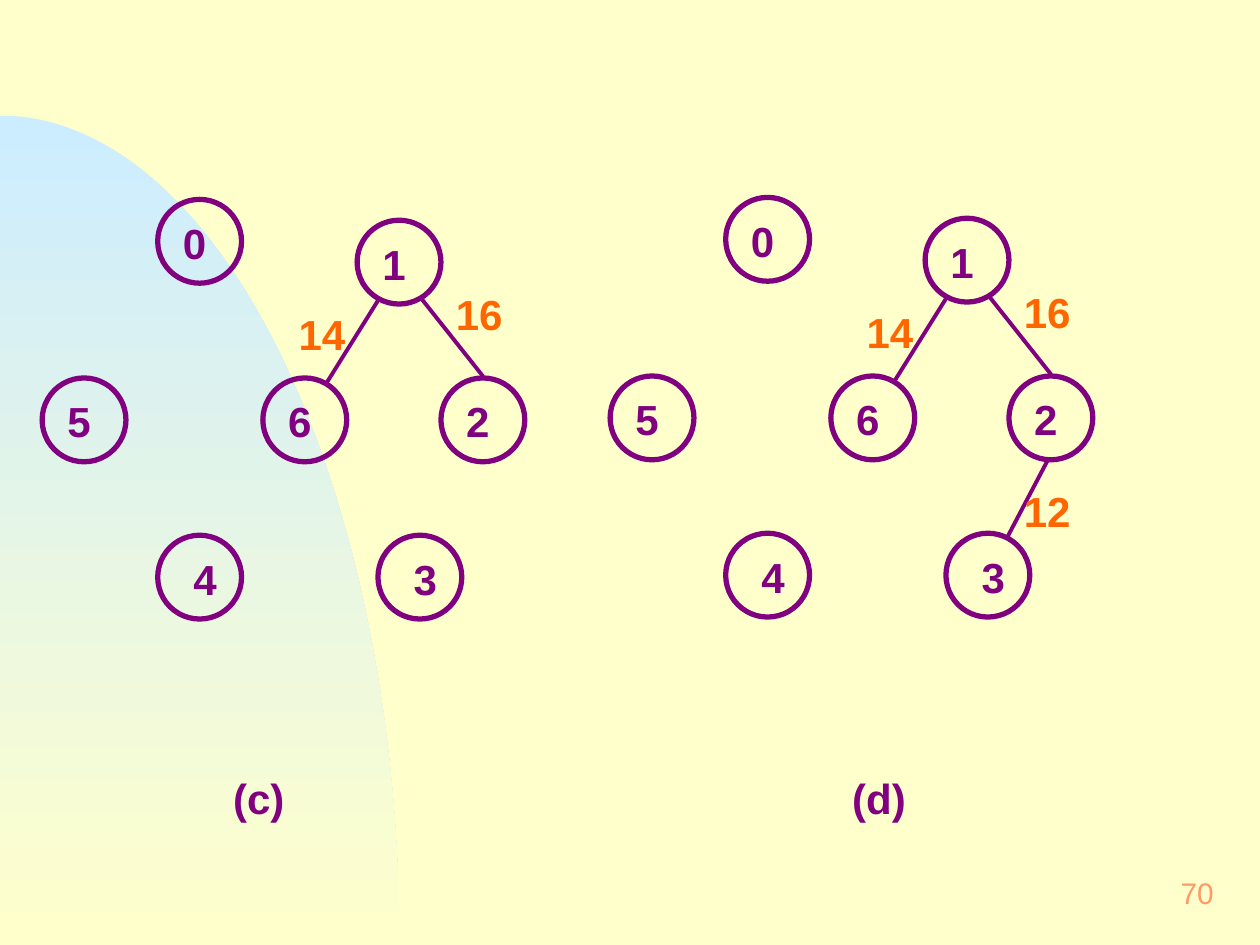
from dataclasses import dataclass
from math import cos, pi, sin

from lxml.etree import SubElement
from pptx import Presentation
from pptx.dml.color import RGBColor
from pptx.enum.shapes import MSO_CONNECTOR, MSO_SHAPE
from pptx.enum.text import MSO_ANCHOR, MSO_AUTO_SIZE, PP_ALIGN
from pptx.oxml.ns import qn
from pptx.util import Cm, Pt


@dataclass(frozen=True)
class Theme:
    font: str = "Arial"
    background: RGBColor = RGBColor(0xFF, 0xFF, 0xCC)
    sky: RGBColor = RGBColor(0xCC, 0xEC, 0xFF)
    ink: RGBColor = RGBColor(0x80, 0x00, 0x80)
    weight: RGBColor = RGBColor(0xFF, 0x66, 0x00)
    number: RGBColor = RGBColor(0xFF, 0x99, 0x66)
    label_size: Pt = Pt(24)
    number_size: Pt = Pt(17)
    node_line: Pt = Pt(3)
    edge_line: Pt = Pt(2.25)


THEME = Theme()
DIAMETER = 1.69
ROW_MIDDLE, ROW_BOTTOM = 3.6, 6.77

# Node: left, top, left offset of its label; all lengths are in centimetres.
NODES = {
    "1": (6.35, 0.42, 0.21),
    "0": (2.33, 0, 0.21),
    "5": (0, ROW_MIDDLE, 0.21),
    "2": (8.04, ROW_MIDDLE, 0.21),
    "6": (4.45, ROW_MIDDLE, 0.21),
    "4": (2.33, ROW_BOTTOM, 0.42),
    "3": (6.77, ROW_BOTTOM, 0.42),
}
# Edge weight: start, end, corner of the weight label.
EDGES = {
    "16": ((7.62, 1.97), (8.89, 3.57), (8.04, 1.64)),
    "14": ((6.77, 2.04), (5.72, 3.72), (4.87, 2.05)),
    "12": ((8.83, 5.28), (7.99, 6.88), (8.04, 5.66)),
}


def add_label(shapes, text, box, color, size=THEME.label_size, bold=True,
              inset=(0.3, 0.15)):
    tb = shapes.add_textbox(*(Cm(v) for v in box))
    tf = tb.text_frame
    tf.word_wrap = True
    tf.auto_size = MSO_AUTO_SIZE.NONE
    tf.margin_left = tf.margin_right = Cm(inset[0])
    tf.margin_top = tf.margin_bottom = Cm(inset[1])
    tf.text = text
    font = tf.paragraphs[0].runs[0].font
    font.name, font.size, font.bold = THEME.font, size, bold
    font.color.rgb = color
    return tf


def add_hill(slide, width, top, bottom, steps=90):
    """Quarter ellipse that rises from the bottom edge to the left edge."""
    angles = [pi / 2 * i / steps for i in range(steps + 1)]
    arc = [(Cm(width * sin(a)), Cm(bottom - (bottom - top) * cos(a)))
           for a in angles]
    builder = slide.shapes.build_freeform(*arc[0])
    builder.add_line_segments(arc[1:] + [(0, Cm(bottom))], close=True)
    sp = builder.convert_to_shape()
    sp.shadow.inherit = False
    sp.line.fill.background()
    sp.fill.gradient()
    sp.fill.gradient_angle = 270
    stops = zip(sp.fill.gradient_stops, (THEME.sky, THEME.background))
    for i, (stop, color) in enumerate(stops):
        stop.position = i
        stop.color.rgb = color


def add_node(shapes, name, left, top, label_offset):
    sp = shapes.add_shape(MSO_SHAPE.OVAL, Cm(left), Cm(top),
                          Cm(DIAMETER), Cm(DIAMETER))
    sp.shadow.inherit = False
    sp.fill.background()
    sp.line.color.rgb = THEME.ink
    sp.line.width = THEME.node_line
    add_label(shapes, name, (left + label_offset, top + 0.21, 1.27, 1.32),
              THEME.ink)


def add_edge(shapes, start, end):
    line = shapes.add_connector(MSO_CONNECTOR.STRAIGHT,
                                *(Cm(v) for v in start + end))
    line.line.color.rgb = THEME.ink
    line.line.width = THEME.edge_line
    SubElement(line._element.spPr, qn("a:effectLst"))


def add_graph(slide, left, top, weights):
    shapes = slide.shapes.add_group_shape().shapes
    for name, (x, y, label_offset) in NODES.items():
        add_node(shapes, name, left + x, top + y, label_offset)
    for weight in weights:
        start, end, (x, y) = EDGES[weight]
        add_edge(shapes, *((left + px, top + py) for px, py in (start, end)))
        add_label(shapes, weight, (left + x, top + y, 1.9, 1.32), THEME.weight)


def add_caption(slide, text, left):
    add_label(slide.shapes, text, (left, 15.45, 2.75, 1.27), THEME.ink,
              inset=(0.25, 0.13))


def add_slide_number(slide, text):
    tf = add_label(slide.shapes, text, (19.48, 17.35, 5.29, 1.27),
                   THEME.number, THEME.number_size, bold=False)
    tf.vertical_anchor = MSO_ANCHOR.MIDDLE
    tf.paragraphs[0].alignment = PP_ALIGN.RIGHT


def main():
    prs = Presentation()
    prs.slide_width, prs.slide_height = Cm(25.4), Cm(19.05)
    slide = prs.slides.add_slide(prs.slide_layouts[6])
    fill = slide.background.fill
    fill.solid()
    fill.fore_color.rgb = THEME.background

    add_hill(slide, width=8.05, top=2.33, bottom=19.05)
    add_slide_number(slide, "70")
    add_caption(slide, "(c)", 4.45)
    add_caption(slide, "(d)", 16.93)
    add_graph(slide, 0.85, 4.02, ("16", "14"))
    add_graph(slide, 12.3, 3.98, ("12", "16", "14"))
    prs.save("out.pptx")


if __name__ == "__main__":
    main()
